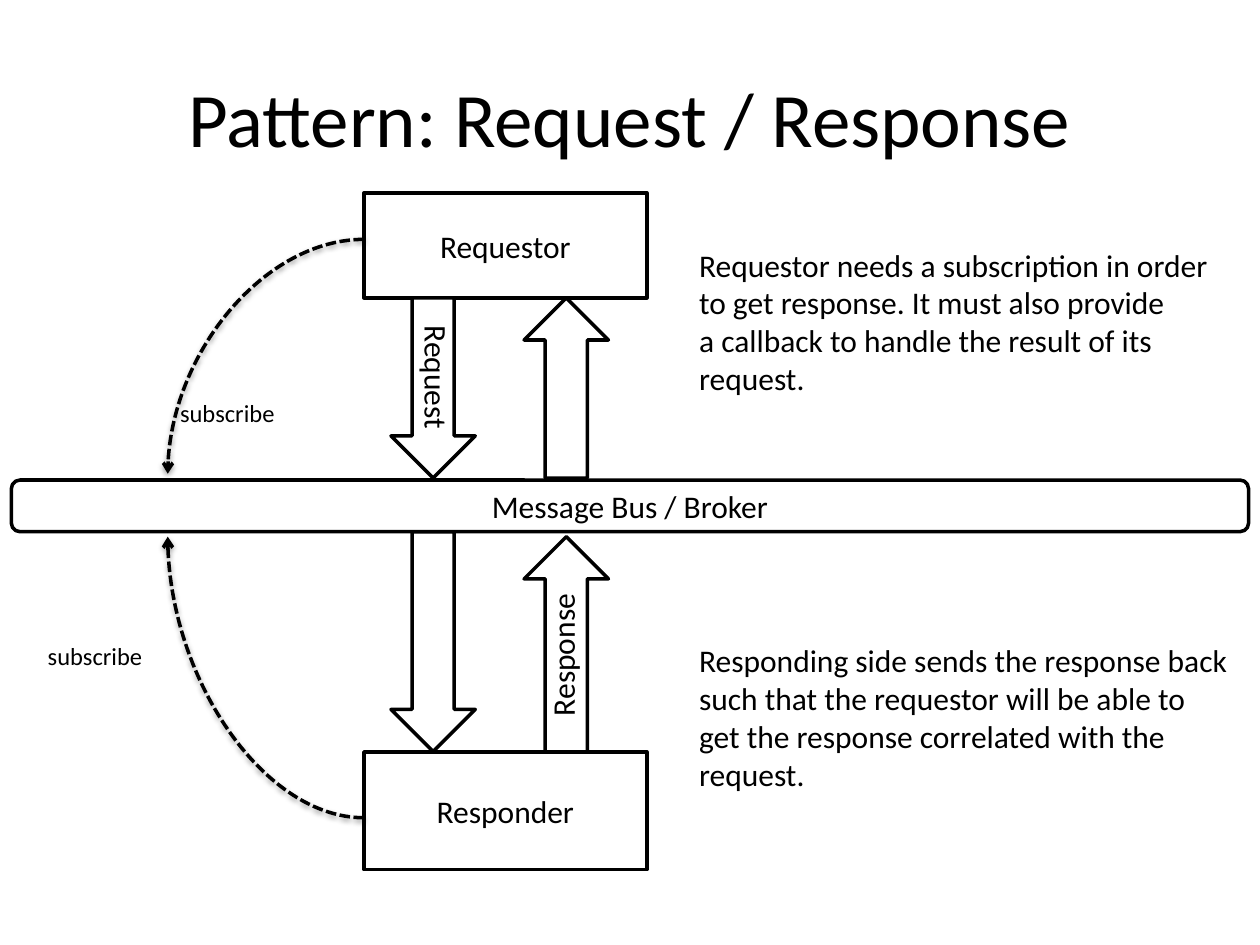
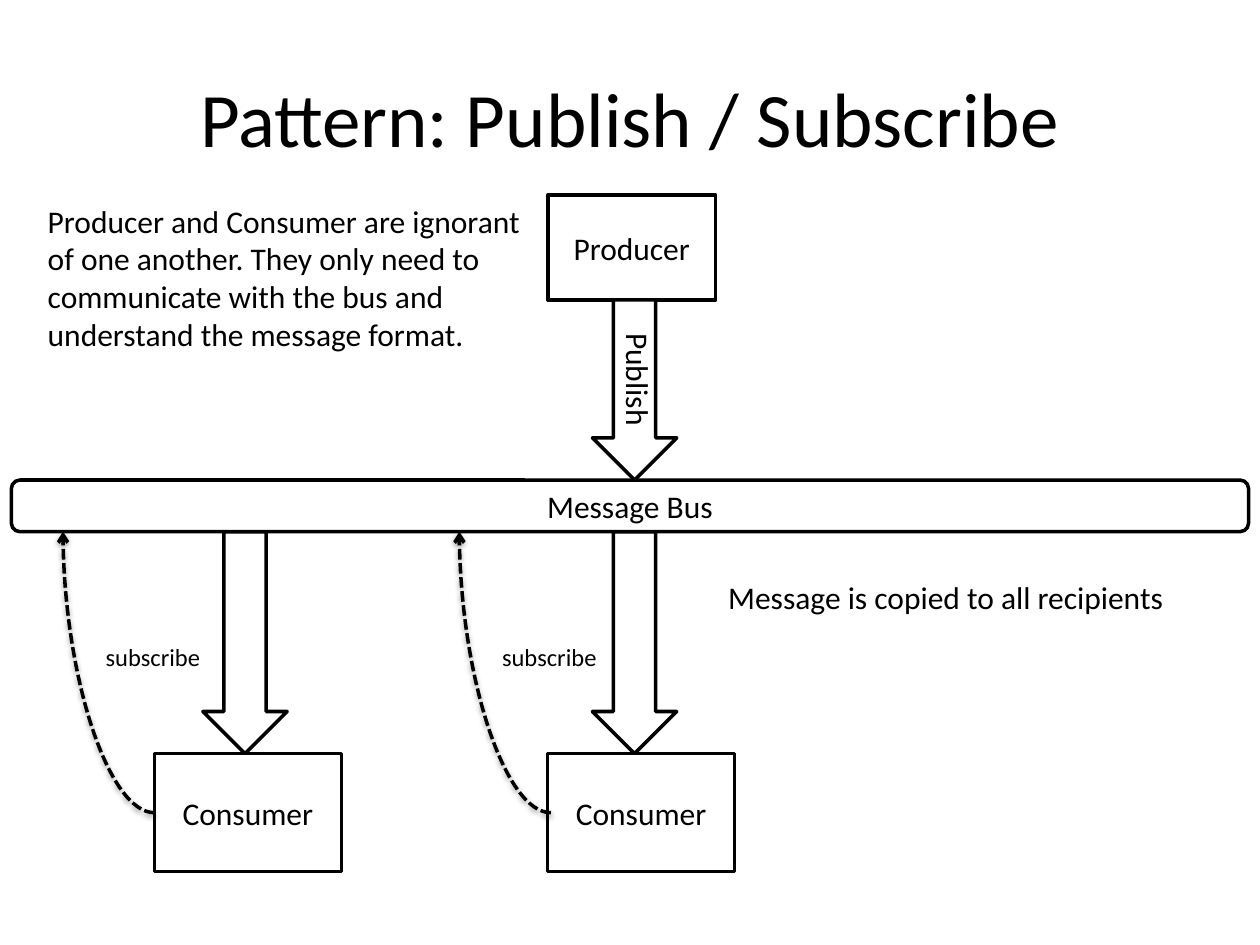
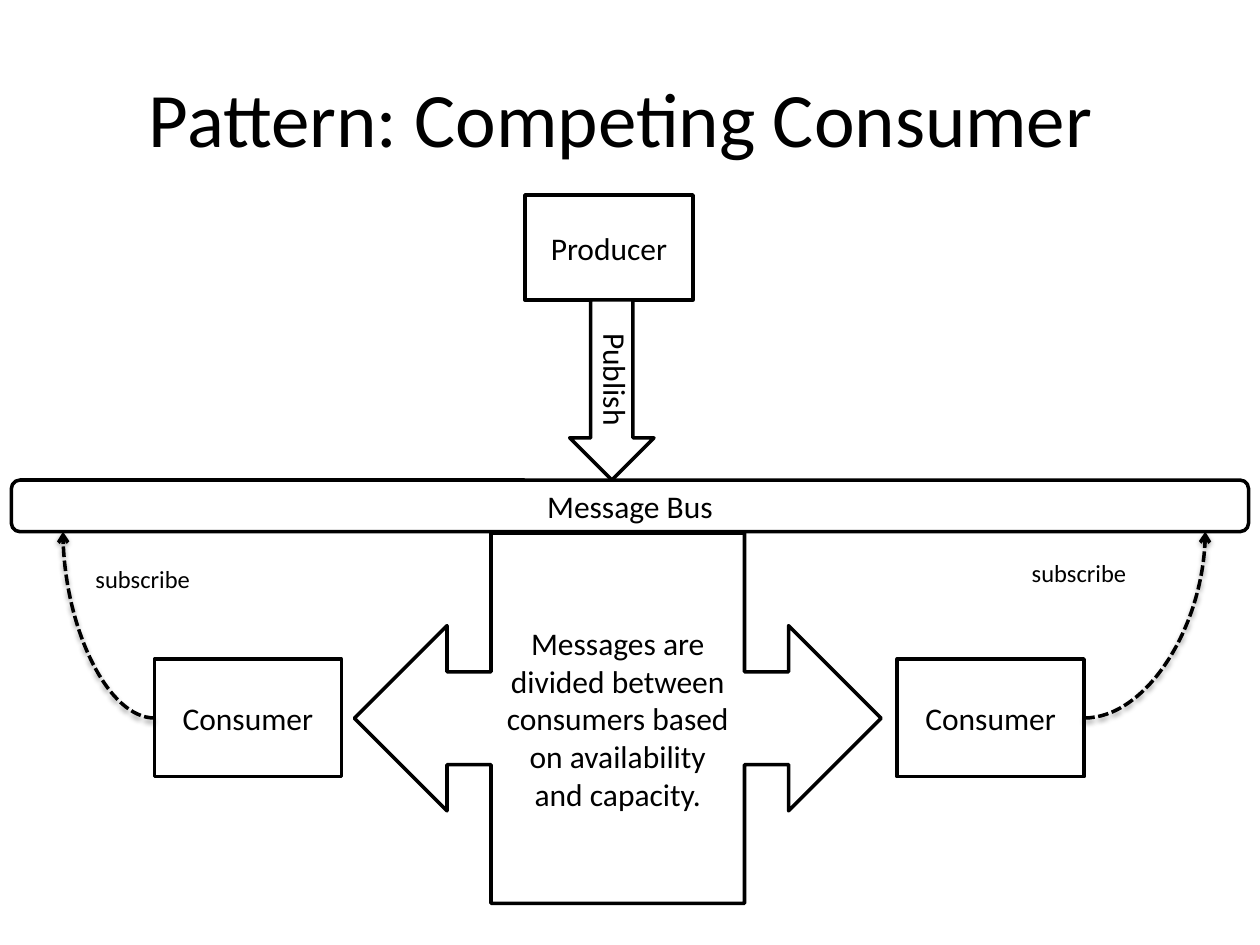
from lxml import etree
from pptx import Presentation
from pptx.dml.color import RGBColor
from pptx.enum import dml, shapes, text
from pptx.oxml import ns, parse_xml
from pptx.util import Pt

COLORS = {"ink": "000000", "paper": "FFFFFF"}
INK = RGBColor.from_string(COLORS["ink"])
PAPER = RGBColor.from_string(COLORS["paper"])
FONT = "Calibri"
KIND = shapes.MSO_SHAPE

# Shared layout, in points
TITLE = (36, 21.6, 648, 90)
BUS = (6.5, 274.3, 707, 29.5)
BUS_TOP, BUS_BOTTOM = 274.3, 303.8
ARROW_WIDTH = 48.2
DOWN, UP = 90, 270
CURVE_SHADOW = (
    f'<a:effectLst {ns.nsdecls("a")}>'
    '<a:outerShdw blurRad="40000" dist="20000" dir="5400000" rotWithShape="0">'
    f'<a:srgbClr val="{COLORS["ink"]}"><a:alpha val="38000"/></a:srgbClr>'
    '</a:outerShdw></a:effectLst>'
)

# boxes: name, left, top, width, height
# arrows: direction, centre x, top, bottom, words
# subscriptions: curve start, curve end, label position
# notes: left, top, width, height, words
patterns = [
    {
        "title": "Pattern: Request / Response",
        "bus": "Message Bus / Broker",
        "boxes": [("Requestor", 208, 110.2, 161.6, 60),
                  ("Responder", 208, 429.7, 161.6, 67.3)],
        "arrows": [(DOWN, 247.5, 170.2, 273.2, "Request"),
                   (DOWN, 247.5, 304, 429.5, ""),
                   (UP, 323.6, 306.7, 429.7, "Response"),
                   (UP, 323.6, 170.2, 273.2, "")],
        "subscriptions": [((208, 467.3), (95.8, 306.7), (20.2, 362.9)),
                          ((208, 136.8), (95.8, 270.7), (95.8, 224))],
        "notes": [(392.4, 136.8, 309, 94.3,
                   "Requestor needs a subscription in order\n"
                   "to get response. It must also provide\n"
                   "a callback to handle the result of its\nrequest."),
                  (392.4, 362.9, 320, 94.3,
                   "Responding side sends the response back\n"
                   "such that the requestor will be able to\n"
                   "get the response correlated with the\nrequest.")],
    },
    {
        "title": "Pattern: Publish / Subscribe",
        "bus": "Message Bus",
        "boxes": [("Producer", 313, 111.4, 96, 60),
                  ("Consumer", 88.3, 430.7, 106.8, 67.3),
                  ("Consumer", 313, 430.7, 106.8, 67.3)],
        "arrows": [(DOWN, 362.6, 171.4, BUS_TOP, "Publish"),
                   (DOWN, 362.6, 304, 430.7, ""),
                   (DOWN, 140, 304, 430.7, "")],
        "subscriptions": [((88.3, 464.4), (36, BUS_BOTTOM), (53.3, 363.6)),
                          ((314.8, 464.4), (262.5, BUS_BOTTOM), (279.8, 363.6))],
        "notes": [(409, 326.9, 267, 29, "Message is copied to all recipients"),
                  (20.2, 111.6, 288, 94.3,
                   "Producer and Consumer are ignorant\n"
                   "of one another. They only need to\n"
                   "communicate with the bus and\n"
                   "understand the message format.")],
    },
    {
        "title": "Pattern: Competing Consumer ",
        "bus": "Message Bus",
        "boxes": [("Producer", 300, 111.4, 96, 60),
                  ("Consumer", 88.3, 376.6, 106.8, 67.3),
                  ("Consumer", 512.7, 376.6, 106.8, 67.3)],
        "arrows": [(DOWN, 349.6, 171.4, BUS_TOP, "Publish")],
        "subscriptions": [((88.3, 410.3), (36, BUS_BOTTOM), (47.5, 319)),
                          ((619.5, 410.3), (688.7, BUS_BOTTOM), (582.5, 315.4))],
        "notes": [],
        "split": "Messages are divided between consumers based "
                 "on availability and capacity.",
    },
]


def add_outlined(slide, kind, frame, words="", rotation=0):
    figure = slide.shapes.add_shape(kind, *map(Pt, frame))
    figure.shadow.inherit = False
    figure.fill.solid()
    figure.fill.fore_color.rgb = PAPER
    figure.line.color.rgb = INK
    figure.line.width = Pt(2)
    figure.rotation = rotation
    if words:
        anchor = text.MSO_ANCHOR.BOTTOM if rotation else text.MSO_ANCHOR.MIDDLE
        write(figure, words, 18, text.PP_ALIGN.CENTER, anchor)


def write(holder, words, size, align=text.PP_ALIGN.LEFT,
          anchor=text.MSO_ANCHOR.TOP, wrap=True):
    holder.text_frame.word_wrap = wrap
    holder.text_frame.vertical_anchor = anchor
    paragraph = holder.text_frame.paragraphs[0]
    paragraph.text = words
    paragraph.alignment = align
    paragraph.font.name = FONT
    paragraph.font.size = Pt(size)
    paragraph.font.color.rgb = INK


deck = Presentation()
deck.slide_width, deck.slide_height = Pt(720), Pt(540)

for pattern in patterns:
    slide = deck.slides.add_slide(deck.slide_layouts[6])

    # Title
    title = slide.shapes.add_textbox(*map(Pt, TITLE))
    write(title, pattern["title"], 44, text.PP_ALIGN.CENTER, text.MSO_ANCHOR.MIDDLE)

    # Message bus and its participants
    add_outlined(slide, KIND.ROUNDED_RECTANGLE, BUS, pattern["bus"])
    for name, *frame in pattern["boxes"]:
        add_outlined(slide, KIND.RECTANGLE, frame, name)

    # Message flow: right arrows turned about their centre
    for direction, center, top, bottom, words in pattern["arrows"]:
        length = bottom - top
        frame = (center - length / 2, (top + bottom - ARROW_WIDTH) / 2,
                 length, ARROW_WIDTH)
        add_outlined(slide, KIND.RIGHT_ARROW, frame, words, direction)
    if "split" in pattern:
        add_outlined(slide, KIND.LEFT_RIGHT_ARROW_CALLOUT,
                     (202.5, 304.6, 301, 211.7), pattern["split"])

    # Subscriptions: dashed quarter curves with a label
    for start, end, label_at in pattern["subscriptions"]:
        curve = slide.shapes.add_connector(
            shapes.MSO_CONNECTOR.CURVE, *map(Pt, start + end))
        curve.line.color.rgb = INK
        curve.line.width = Pt(2)
        curve.line.dash_style = dml.MSO_LINE.SQUARE_DOT
        props = curve._element.spPr
        props.find(ns.qn("a:prstGeom")).set("prst", "curvedConnector2")
        # A half turn with both flips reversed keeps the same end points
        turn = props.find(ns.qn("a:xfrm"))
        turn.set("rot", "10800000")
        for flip in ("flipH", "flipV"):
            turn.set(flip, "0" if turn.get(flip) == "1" else "1")
        etree.SubElement(props.find(ns.qn("a:ln")), ns.qn("a:tailEnd"), type="arrow")
        props.append(parse_xml(CURVE_SHADOW))

        label = slide.shapes.add_textbox(*map(Pt, label_at + (69, 24.5)))
        write(label, "subscribe", 14, wrap=False)

    # Explanations
    for *frame, words in pattern["notes"]:
        note = slide.shapes.add_textbox(*map(Pt, frame))
        write(note, words, 18, wrap=False)

deck.save("out.pptx")
